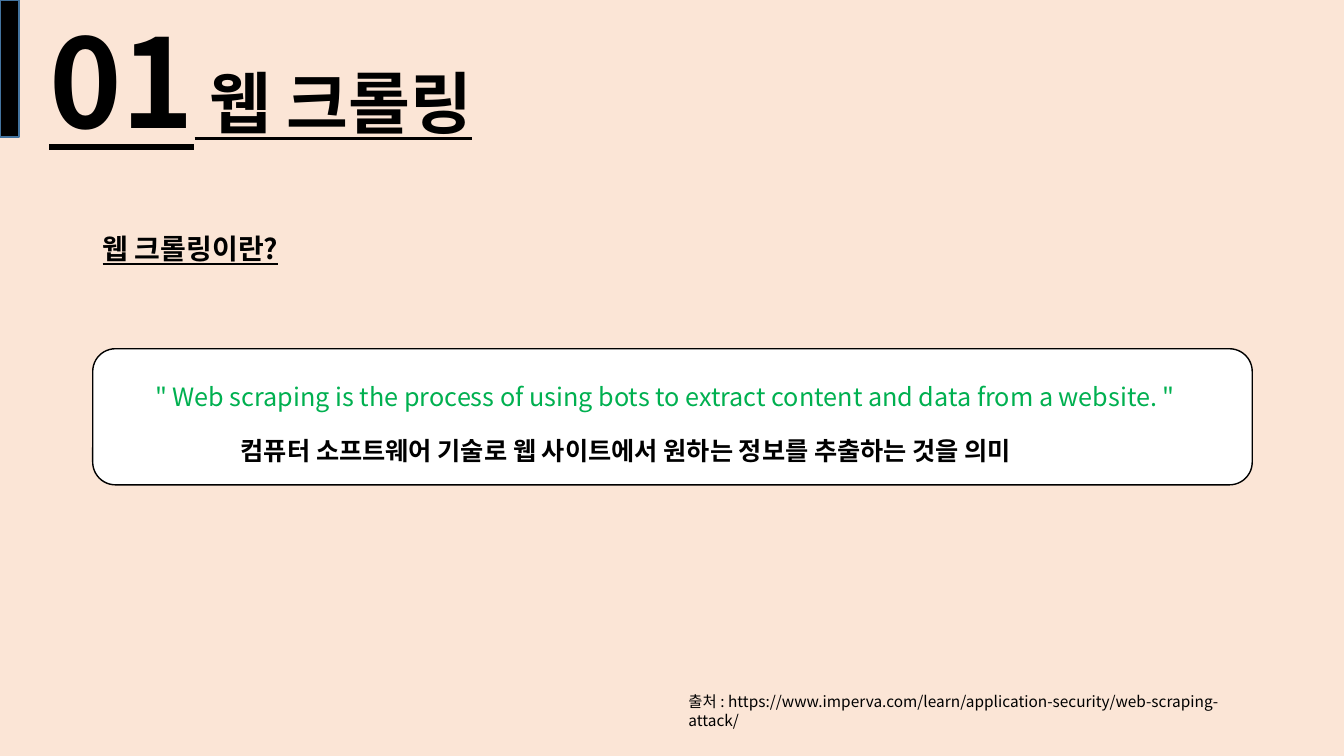
from lxml.etree import SubElement
from pptx import Presentation
from pptx.dml.color import RGBColor
from pptx.enum.shapes import MSO_SHAPE
from pptx.enum.text import MSO_AUTO_SIZE
from pptx.oxml.ns import qn
from pptx.util import Inches, Pt

FONT = "Noto Sans CJK KR"
COLORS = {"peach": "FBE5D6", "black": "000000", "white": "FFFFFF",
          "edge": "43739E", "green": "00B050"}
WIDTH, HEIGHT = 13.33, 7.5

# preset, (left, top, width, height), fill, line
PANELS = {
    "backdrop": (MSO_SHAPE.RECTANGLE, (0, 0, WIDTH, HEIGHT), "peach", None),
    "marker": (MSO_SHAPE.RECTANGLE, (0, 0, 0.19, 1.36), "black", "edge"),
    "definition": (MSO_SHAPE.ROUNDED_RECTANGLE, (0.92, 3.46, 11.5, 1.35), "white", "black"),
}

# (left, top, width, height), runs of (text, size), format
TEXTS = [
    ((0.39, 0, 5.9, 1.58), [("01", 88), (" 웹 크롤링", 48)],
     {"bold": True, "underline": True}),
    ((0.92, 2.25, 2.12, 0.44), [("웹 크롤링이란?", 20)],
     {"bold": True, "underline": True}),
    ((2.29, 4.27, 8.76, 0.4),
     [("컴퓨터 소프트웨어 기술로 웹 사이트에서 원하는 정보를 추출하는 것을 의미", 18)],
     {"bold": True}),
    ((1.44, 3.73, 10.58, 0.4),
     [('" Web scraping is the process of using bots to extract content and data from a website. "', 18)],
     {"color": "green"}),
    ((6.73, 6.82, 5.82, 0.29),
     [("출처 : https://www.imperva.com/learn/application-security/web-scraping-attack/", 11)],
     {}),
]


def color_of(name):
    return RGBColor.from_string(COLORS[name])


def add_panel(slide, preset, box, fill, line):
    panel = slide.shapes.add_shape(preset, *map(Inches, box))
    panel.shadow.inherit = False
    panel.fill.solid()
    panel.fill.fore_color.rgb = color_of(fill)
    if line:
        panel.line.color.rgb = color_of(line)
        panel.line.width = Pt(1)
    else:
        panel.line.fill.background()


def add_text(slide, box, runs, color="black", bold=False, underline=False):
    frame = slide.shapes.add_textbox(*map(Inches, box)).text_frame
    frame.word_wrap = True
    frame.auto_size = MSO_AUTO_SIZE.SHAPE_TO_FIT_TEXT
    for text, size in runs:
        run = frame.paragraphs[0].add_run()
        run.text = text
        font = run.font
        font.name = FONT
        font.size = Pt(size)
        font.bold = bold
        font.underline = underline
        font.color.rgb = color_of(color)
        # Korean glyphs take their font from the East Asian slot
        SubElement(run._r.get_or_add_rPr(), qn("a:ea"), typeface=FONT)


def main():
    deck = Presentation()
    deck.slide_width, deck.slide_height = Inches(WIDTH), Inches(HEIGHT)
    slide = deck.slides.add_slide(deck.slide_layouts[6])
    for panel in PANELS.values():
        add_panel(slide, *panel)
    for box, runs, style in TEXTS:
        add_text(slide, box, runs, **style)
    deck.save("out.pptx")


if __name__ == "__main__":
    main()
